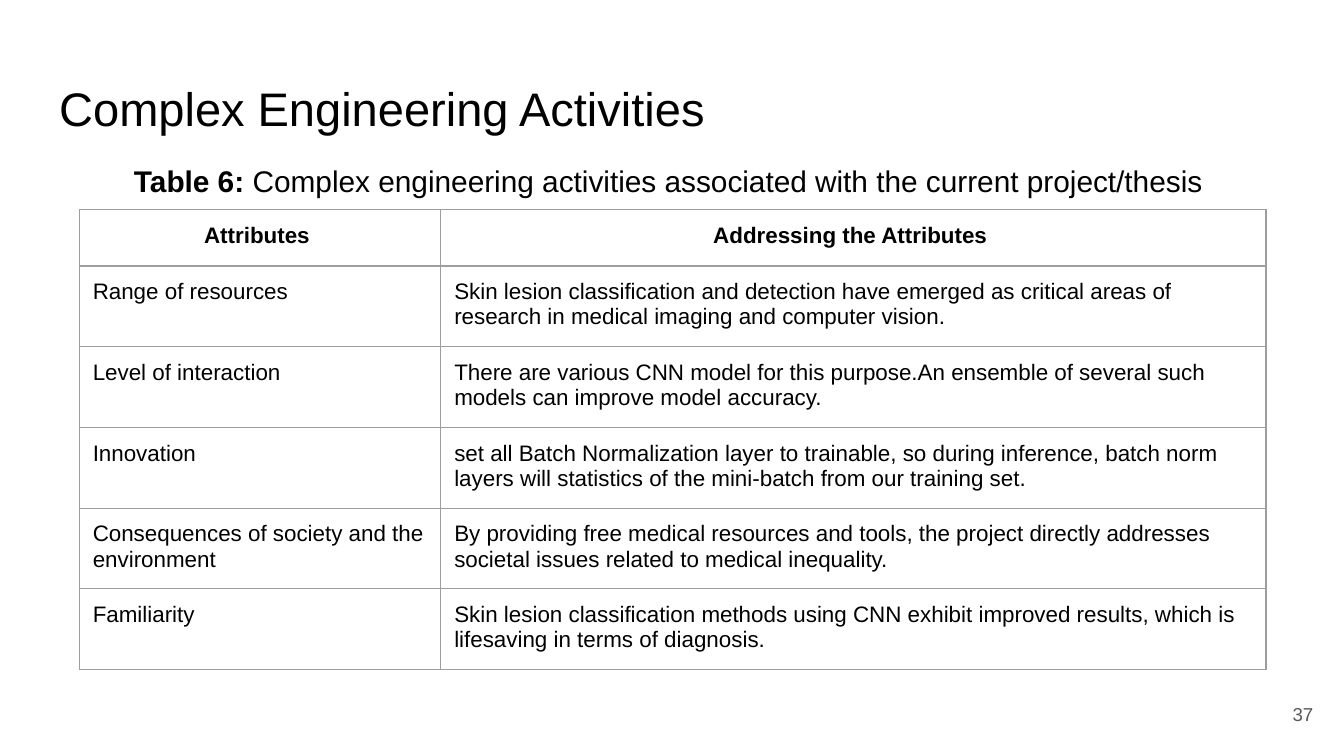
from lxml import etree
from pptx import Presentation
from pptx.dml.color import RGBColor
from pptx.enum.text import MSO_ANCHOR, PP_ALIGN
from pptx.oxml.ns import qn
from pptx.util import Inches, Pt

LEFT, CENTER, RIGHT = PP_ALIGN.LEFT, PP_ALIGN.CENTER, PP_ALIGN.RIGHT
TOP, MIDDLE = MSO_ANCHOR.TOP, MSO_ANCHOR.MIDDLE
COLORS = {"text": "000000", "number": "595959", "border": "9E9E9E"}
FONT = "Arial"


def write(frame, runs, size, align=LEFT, color="text"):
    paragraph = frame.paragraphs[0]
    paragraph.alignment = align
    for text, bold in runs:
        run = paragraph.add_run()
        run.text = text
        for key, value in {"name": FONT, "size": Pt(size), "bold": bold}.items():
            setattr(run.font, key, value)
        run.font.color.rgb = RGBColor.from_string(COLORS[color])


def set_frame(frame, anchor=TOP):
    margin = Inches(0.1)
    layout = {"word_wrap": True, "vertical_anchor": anchor,
              "margin_left": margin, "margin_right": margin,
              "margin_top": margin, "margin_bottom": margin}
    for key, value in layout.items():
        setattr(frame, key, value)


prs = Presentation()
prs.slide_width = Inches(10)
prs.slide_height = prs.slide_width * 9 // 16
slide = prs.slides.add_slide(prs.slide_layouts[5])

title = slide.shapes.title
title_place = {"left": 0.34, "top": 0.49, "width": 9.32, "height": 0.63}
for key, value in title_place.items():
    setattr(title, key, Inches(value))
set_frame(title.text_frame)
write(title.text_frame, [("Complex Engineering Activities", False)], 25.2)

page_number = slide.shapes.add_textbox(Inches(9.27), Inches(5.1), Inches(0.6), Inches(0.43))
set_frame(page_number.text_frame, MIDDLE)
write(page_number.text_frame, [("37", False)], 10, RIGHT, "number")

activities = [
    ("Attributes ", "Addressing the Attributes "),
    ("Range of resources",
     "Skin lesion classification and detection have emerged as critical areas of "
     "research in medical imaging and computer vision."),
    ("Level of interaction",
     "There are various CNN model for this purpose.An ensemble of several such "
     "models can improve model accuracy."),
    ("Innovation",
     "set all Batch Normalization layer to trainable, so during inference, batch norm "
     "layers will statistics of the mini-batch from our training set."),
    ("Consequences of society and the environment",
     "By providing free medical resources and tools, the project directly addresses "
     "societal issues related to medical inequality."),
    ("Familiarity",
     "Skin lesion classification methods using CNN exhibit improved results, which is "
     "lifesaving in terms of diagnosis."),
]
column_widths = [2.69, 6.14]
row_height = 0.42
table = slide.shapes.add_table(
    len(activities), len(column_widths), Inches(0.59), Inches(1.56),
    Inches(sum(column_widths)), Inches(row_height * len(activities))).table
table.first_row = table.horz_banding = False
for column, width in zip(table.columns, column_widths):
    column.width = Inches(width)

for row, activity in enumerate(activities):
    is_header = row == 0
    table.rows[row].height = Inches(row_height)
    for col, text in enumerate(activity):
        cell = table.cell(row, col)
        for side in ("left", "right", "top", "bottom"):
            setattr(cell, f"margin_{side}", Inches(0.1))
        write(cell.text_frame, [(text, is_header)], 12, CENTER if is_header else LEFT)
        properties = cell._tc.get_or_add_tcPr()
        for edge in ("a:lnL", "a:lnR", "a:lnT", "a:lnB"):
            border = etree.SubElement(properties, qn(edge), w=str(Pt(0.75)))
            fill = etree.SubElement(border, qn("a:solidFill"))
            etree.SubElement(fill, qn("a:srgbClr"), val=COLORS["border"])
        cell.fill.background()

caption = slide.shapes.add_textbox(Inches(0.56), Inches(1.11), Inches(8.83), Inches(0.38))
set_frame(caption.text_frame)
write(caption.text_frame, [
    ("Table 6:", True),
    (" Complex engineering activities associated with the current project/thesis", False),
], 16, CENTER)

prs.save("out.pptx")
